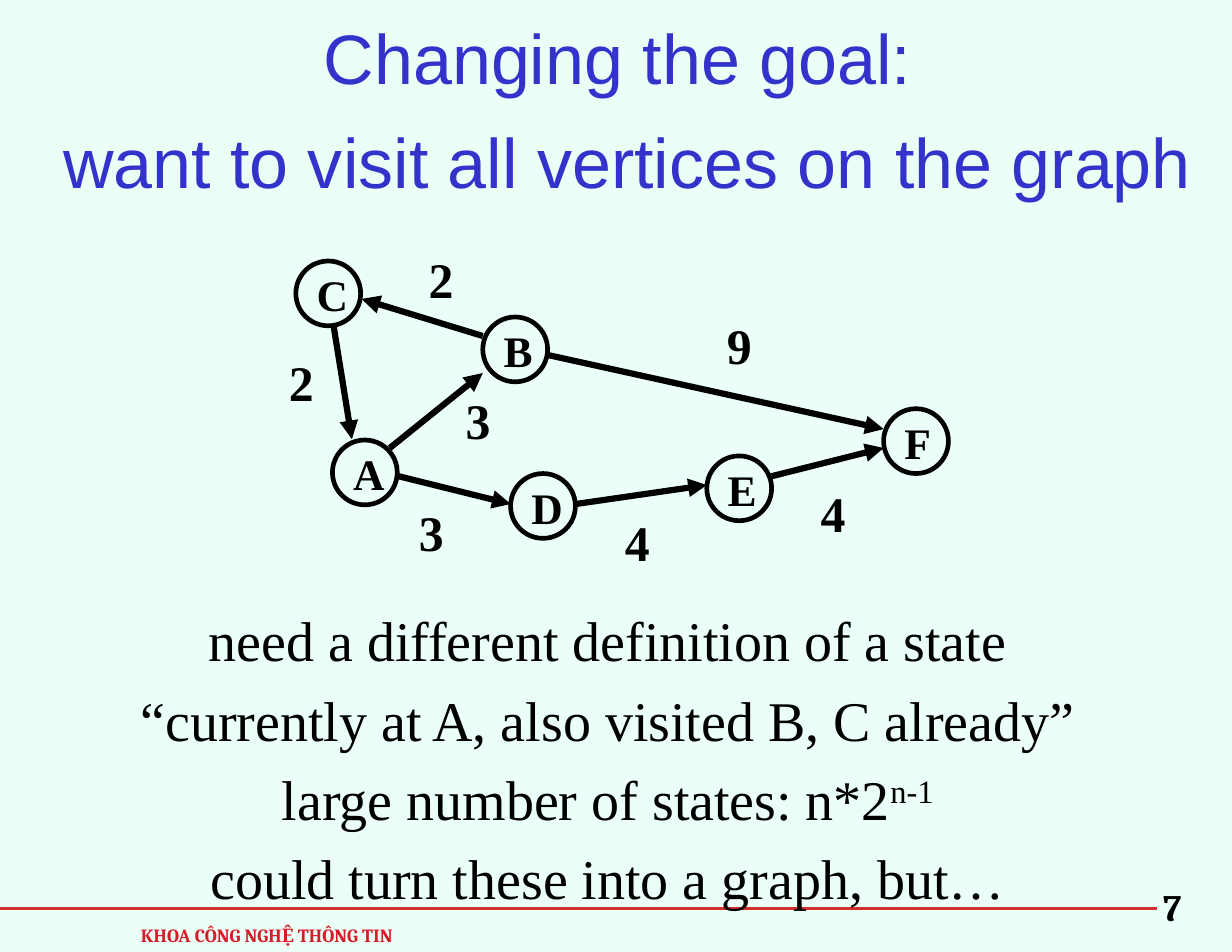
import pptx
import pptx.util
import pptx.dml.color
import pptx.enum.text
import pptx.enum.shapes
import pptx.oxml
import pptx.oxml.ns
from pptx.util import Cm, Pt

THEME = {
    "back": "EBFFF7", "ink": "000000", "title": "3333CC",
    "rule": "D32F2F", "foot": "D51C29",
    "head": "Arial", "body": "Times New Roman", "small": "Cambria",
    "sizes": {"title": 45, "body": 36, "cost": 32, "node": 28, "page": 24, "foot": 12},
}
SIZE = THEME["sizes"]

TITLE = "Changing the goal: \vwant to visit all vertices on the graph"
# Each line is a list of (text, raised) parts.
NOTES = [
    [("need a different definition of a state", False)],
    [("“currently at A, also visited B, C already”", False)],
    [("large number of states: n*2", False), ("n-1", True)],
    [("could turn these into a graph, but…", False)],
]
# name: left, top, label width (cm)
NODES = {
    "A": (7.54, 9.98, 1.22), "B": (10.95, 7.19, 1.17),
    "C": (6.71, 5.92, 1.22), "F": (20.04, 9.27, 1.12),
    "D": (11.58, 10.74, 1.22), "E": (16.03, 10.34, 1.17),
}
# start, end, cost, left and top of the cost (cm)
EDGES = [
    ((8.84, 10.16), (10.95, 8.46), "3", (10.31, 8.46)),
    ((10.95, 7.62), (8.2, 6.78), "2", (9.47, 5.28)),
    ((7.57, 7.42), (7.98, 9.96), "2", (6.3, 7.62)),
    ((12.42, 8.05), (20.04, 9.73), "9", (16.23, 6.78)),
    ((9.04, 10.8), (11.58, 11.43), "3", (9.25, 11)),
    ((13.06, 11.43), (16.03, 11), "4", (13.92, 11.23)),
    ((17.5, 10.8), (20.04, 10.16), "4", (18.36, 10.59)),
]
DISC = 1.47
ALIGN = pptx.enum.text.PP_ALIGN


def tint(code):
    return pptx.dml.color.RGBColor.from_string(code)


def place(shape, box):
    shape.left, shape.top, shape.width, shape.height = map(Cm, box)


def style(para, size, font=THEME["body"], color=THEME["ink"], bold=False,
          align=ALIGN.CENTER, gap=1.18):
    para.alignment = align
    para.line_spacing = gap
    para.space_before = para.space_after = Pt(0)
    for run in para.runs:
        run.font.size = Pt(size)
        run.font.name = font
        run.font.bold = bold
        run.font.color.rgb = tint(color)


def write(slide, text, box, wrap=False, **form):
    """Add a text box; text is a string or a list of lines made of parts."""
    lines = [[(text, False)]] if isinstance(text, str) else text
    frame = slide.shapes.add_textbox(*map(Cm, box)).text_frame
    frame.word_wrap = wrap
    frame.auto_size = pptx.enum.text.MSO_AUTO_SIZE.SHAPE_TO_FIT_TEXT
    for i, parts in enumerate(lines):
        para = frame.add_paragraph() if i else frame.paragraphs[0]
        for words, raised in parts:
            run = para.add_run()
            run.text = words
            if raised:
                run.font._element.set("baseline", "30000")
        style(para, **form)


def link(slide, start, end, color, width, arrow=False):
    line = slide.shapes.add_connector(
        pptx.enum.shapes.MSO_CONNECTOR.STRAIGHT, *map(Cm, start + end))
    line.line.color.rgb = tint(color)
    line.line.width = Pt(width)
    if arrow:
        tail = pptx.oxml.parse_xml(
            "<a:tailEnd %s type='triangle'/>" % pptx.oxml.ns.nsdecls("a"))
        line.line._get_or_add_ln().append(tail)
    line._element.spPr.append(
        pptx.oxml.parse_xml("<a:effectLst %s/>" % pptx.oxml.ns.nsdecls("a")))


def disc(slide, left, top):
    ring = slide.shapes.add_shape(
        pptx.enum.shapes.MSO_SHAPE.OVAL, *map(Cm, (left, top, DISC, DISC)))
    ring.shadow.inherit = False
    ring.fill.background()
    ring.line.color.rgb = tint(THEME["ink"])
    ring.line.width = Pt(3)


def head(slide):
    title = slide.shapes.title
    place(title, (0.51, 0.64, 27.43, 3.18))
    frame = title.text_frame
    frame.word_wrap = True
    frame.auto_size = pptx.enum.text.MSO_AUTO_SIZE.NONE
    frame.vertical_anchor = pptx.enum.text.MSO_ANCHOR.MIDDLE
    frame.margin_left = frame.margin_right = Cm(0.28)
    frame.margin_top = frame.margin_bottom = Cm(0.15)
    frame.text = ""
    para = frame.paragraphs[0]
    para.text = TITLE
    style(para, SIZE["title"], THEME["head"], THEME["title"], gap=1.24)


def foot(slide):
    link(slide, (0, 20.6), (26.24, 20.6), THEME["rule"], 2.25)
    write(slide, "KHOA CÔNG NGHỆ THÔNG TIN", (2.84, 20.73, 6.43, 0.86), wrap=True,
          size=SIZE["foot"], font=THEME["small"], color=THEME["foot"], bold=True)
    write(slide, "7", (25.6, 19.74, 1.98, 1.45), wrap=True,
          size=SIZE["page"], font=THEME["small"], bold=True)


def graph(slide):
    for name, (left, top, width) in NODES.items():
        disc(slide, left, top)
        write(slide, name, (left + 0.22, top - 0.17, width, 1.65),
              size=SIZE["node"], bold=True, align=ALIGN.LEFT)
    for start, end, cost, spot in EDGES:
        link(slide, start, end, THEME["ink"], 4, arrow=True)
        write(slide, cost, spot + (1.07, 1.85), size=SIZE["cost"], bold=True)


def main():
    deck = pptx.Presentation()
    deck.slide_width, deck.slide_height = Cm(27.94), Cm(21.59)
    slide = deck.slides.add_slide(deck.slide_layouts[5])
    slide.background.fill.solid()
    slide.background.fill.fore_color.rgb = tint(THEME["back"])
    foot(slide)
    head(slide)
    graph(slide)
    write(slide, NOTES, (2.9, 13.34, 21.77, 7.44), size=SIZE["body"])
    deck.save("out.pptx")


if __name__ == "__main__":
    main()
